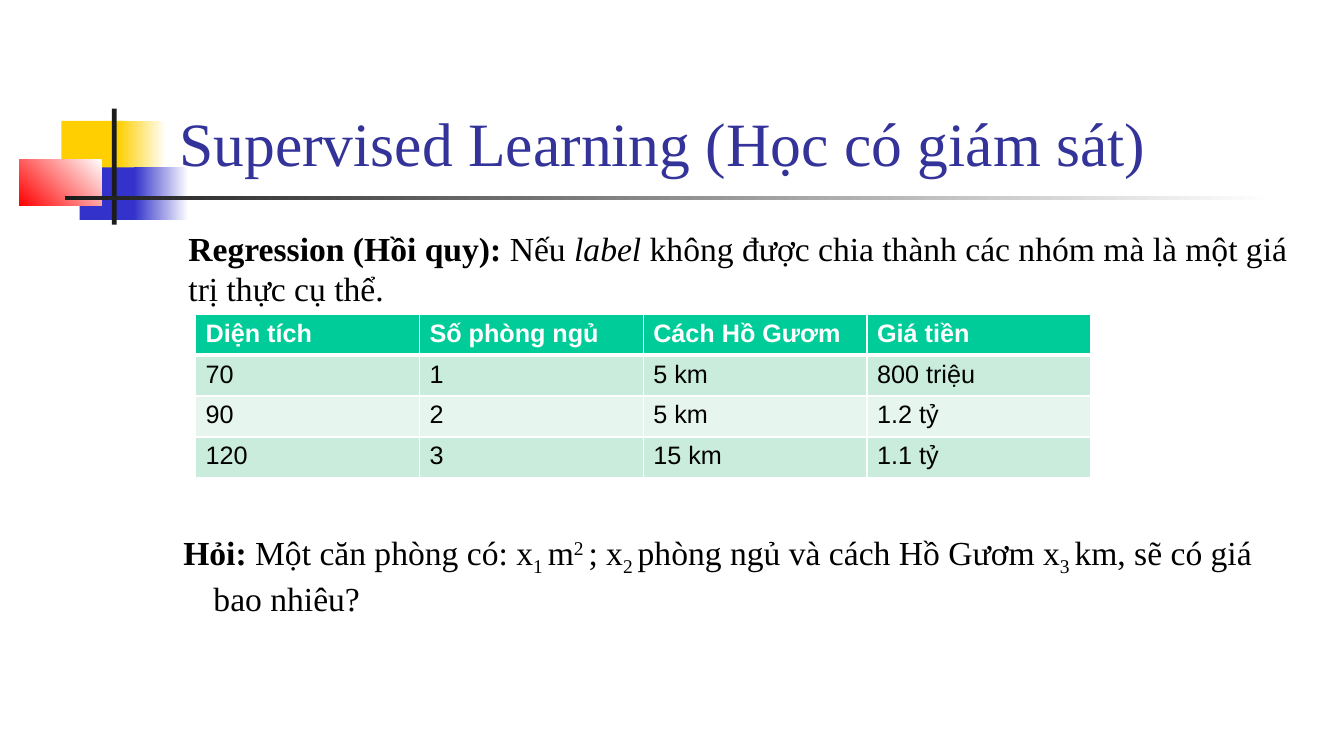
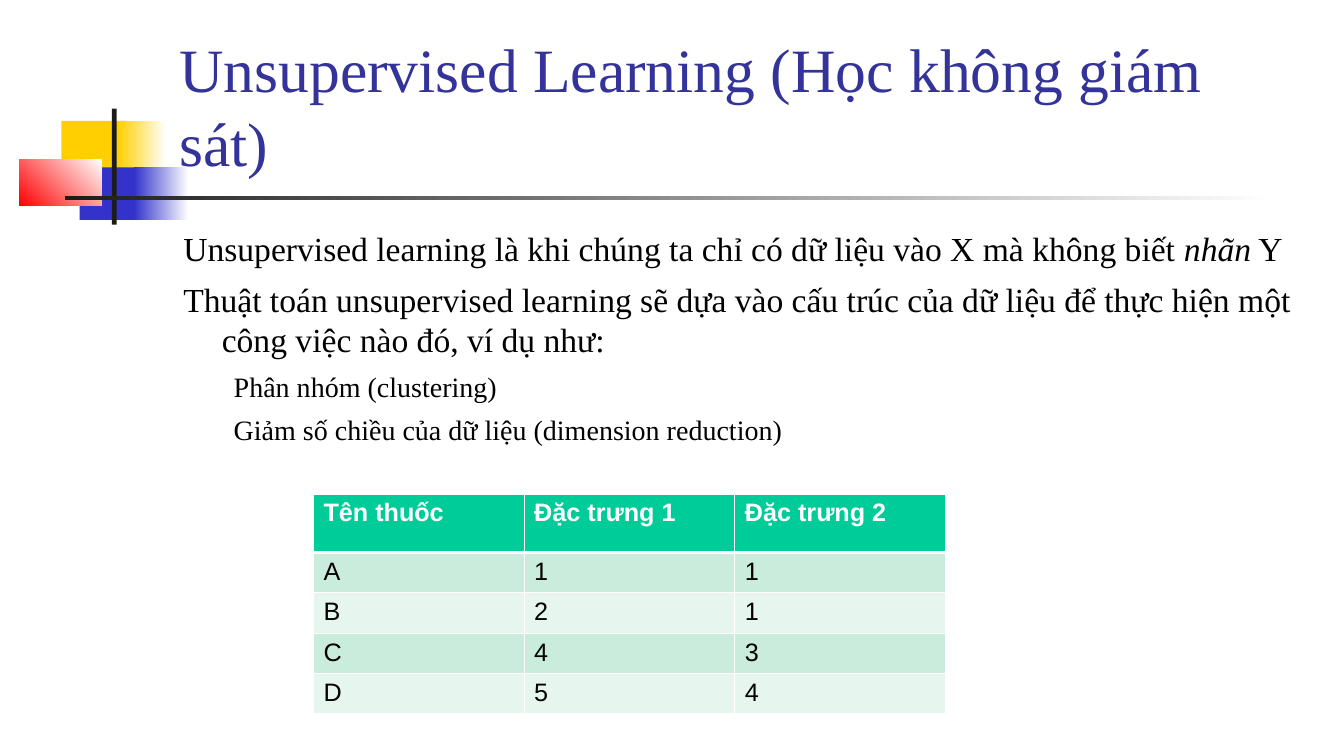
from dataclasses import dataclass

from lxml.etree import SubElement
from pptx import Presentation
from pptx.dml.color import RGBColor
from pptx.enum.shapes import MSO_SHAPE
from pptx.enum.text import MSO_ANCHOR
from pptx.oxml.ns import qn
from pptx.util import Cm, Pt


@dataclass(frozen=True)
class Theme:
    serif: str = "Times New Roman"
    sans: str = "Arial"
    title: int = 44
    body: int = 24
    minor: int = 20
    cell: int = 18
    navy: str = "333399"
    black: str = "000000"
    white: str = "FFFFFF"
    gold: str = "FFCF01"
    blue: str = "3333CC"
    red: str = "FF0000"
    ink: str = "1C1C1C"
    green: str = "00CC99"
    bands: tuple = ("CAECDD", "E6F6EF")


@dataclass(frozen=True)
class Para:
    runs: tuple
    left: float = 0
    first: float = 0
    before: int = 0
    size: int = 0


THEME = Theme()
SIZE = (33.87, 19.05)
MARK = (0.48, 2.74)
TITLE = (4.27, 0.58, 28.85, 4.06)
BODY = (4.37, 5.61, 28.78, 6.5)
BASE = {"sub": "-25000", "sup": "30000"}


def tint(code):
    return RGBColor.from_string(code)


def write(frame, paras, font=THEME.serif, size=THEME.body, color=THEME.black,
          bold=False, anchor=MSO_ANCHOR.TOP):
    frame.word_wrap = True
    frame.vertical_anchor = anchor
    for index, para in enumerate(paras):
        line = frame.add_paragraph() if index else frame.paragraphs[0]
        line.space_before = Pt(para.before)
        props = line._p.get_or_add_pPr()
        props.set("marL", str(Cm(para.left)))
        props.set("indent", str(Cm(para.first)))
        for text, style in para.runs:
            run = line.add_run()
            run.text = text
            run.font.name = font
            run.font.size = Pt(para.size or size)
            run.font.color.rgb = tint(color)
            run.font.bold = bold or style == "bold"
            run.font.italic = style == "italic"
            if style in BASE:
                run._r.get_or_add_rPr().set("baseline", BASE[style])


def plain(text, **form):
    return Para(((text, ""),), **form)


def label(slide, box, paras, **form):
    write(slide.shapes.add_textbox(*map(Cm, box)).text_frame, paras, **form)


def block(slide, box, color, angle=None):
    shape = slide.shapes.add_shape(MSO_SHAPE.RECTANGLE, *map(Cm, box))
    shape.shadow.inherit = False
    shape.line.fill.background()
    if angle is None:
        shape.fill.solid()
        shape.fill.fore_color.rgb = tint(color)
    else:
        shape.fill.gradient()
        shape.fill.gradient_angle = angle
        for stop, code in zip(shape.fill.gradient_stops, (THEME.white, color)):
            stop.color.rgb = tint(code)


def emblem(slide, left, top):
    parts = (
        (1.07, 0.31, 1.63, 1.32, THEME.gold, None),
        (2.49, 0.31, 1.22, 1.32, THEME.gold, 180),
        (1.53, 1.48, 1.57, 1.32, THEME.blue, None),
        (2.9, 1.48, 1.37, 1.32, THEME.blue, 180),
        (0, 1.27, 2.08, 1.17, THEME.red, 225),
        (2.34, 0, 0.12, 2.92, THEME.ink, None),
        (1.17, 2.21, 30.48, 0.09, THEME.ink, 180),
    )
    for x, y, width, height, color, angle in parts:
        block(slide, (left + x, top + y, width, height), color, angle)


def border(cell, widths):
    props = cell._tc.get_or_add_tcPr()
    for side, width in zip("LRTB", widths):
        line = SubElement(props, qn(f"a:ln{side}"), w=str(Pt(width)))
        fill = SubElement(line, qn("a:solidFill"))
        SubElement(fill, qn("a:srgbClr"), val=THEME.white)


def grid(slide, left, top, width, head, step, rows):
    count = len(rows[0])
    heights = [head] + [step] * (len(rows) - 1)
    box = (left, top, width * count, sum(heights))
    table = slide.shapes.add_table(len(rows), count, *map(Cm, box)).table
    for column in table.columns:
        column.width = Cm(width)
    for r, (values, height) in enumerate(zip(rows, heights)):
        table.rows[r].height = Cm(height)
        top_row = r == 0
        back = THEME.green if top_row else THEME.bands[(r - 1) % 2]
        for c, value in enumerate(values):
            cell = table.cell(r, c)
            border(cell, (1, 1, 3 if r == 1 else 1, 3 if top_row else 1))
            cell.fill.solid()
            cell.fill.fore_color.rgb = tint(back)
            write(cell.text_frame, [plain(value)], font=THEME.sans,
                  size=THEME.cell, bold=top_row,
                  color=THEME.white if top_row else THEME.black)


def start(deck, title):
    slide = deck.slides.add_slide(deck.slide_layouts[6])
    emblem(slide, *MARK)
    label(slide, TITLE, [plain(title)], size=THEME.title, color=THEME.navy,
          anchor=MSO_ANCHOR.BOTTOM)
    return slide


def guided(deck):
    slide = start(deck, "Supervised Learning (Học có giám sát)")
    left, top, width, _ = BODY
    label(slide, (left, top, width, 2.3), [Para((
        ("Regression (Hồi quy): ", "bold"),
        ("Nếu ", ""),
        ("label", "italic"),
        (" không được chia thành các nhóm mà là một giá trị thực cụ thể.", ""),
    ), left=0.13)])
    grid(slide, left + 0.56, top + 2.31, 5.64, 1.03, 1.03, (
        ("Diện tích", "Số phòng ngủ", "Cách Hồ Gươm", "Giá tiền"),
        ("70", "1", "5 km", "800 triệu"),
        ("90", "2", "5 km", "1.2 tỷ"),
        ("120", "3", "15 km", "1.1 tỷ"),
    ))
    label(slide, (left, top + 7.67, width, 2.5), [Para((
        ("Hỏi:", "bold"),
        (" Một căn phòng có: x", ""),
        ("1 ", "sub"),
        ("m", ""),
        ("2 ", "sup"),
        ("; x", ""),
        ("2 ", "sub"),
        ("phòng ngủ và cách Hồ Gươm x", ""),
        ("3 ", "sub"),
        ("km, sẽ có giá bao nhiêu?", ""),
    ), left=0.76, first=-0.76)])


def free(deck):
    slide = start(deck, "Unsupervised Learning (Học không giám sát)")
    left, top, _, _ = BODY
    hang = {"left": 0.97, "first": -0.97}
    minor = {"left": 2.06, "first": -0.79, "before": 7, "size": THEME.minor}
    label(slide, BODY, [
        Para((
            ("Unsupervised learning là khi chúng ta chỉ có dữ liệu vào X "
             "mà không biết ", ""),
            ("nhãn", "italic"),
            (" Y", ""),
        ), **hang),
        plain("Thuật toán unsupervised learning sẽ dựa vào cấu trúc của dữ liệu "
              "để thực hiện một công việc nào đó, ví dụ như:", before=8, **hang),
        plain("Phân nhóm (clustering)", **minor),
        plain("Giảm số chiều của dữ liệu (dimension reduction)", **minor),
    ])
    grid(slide, left + 3.53, top + 6.84, 5.31, 1.47, 0.97, (
        ("Tên thuốc", "Đặc trưng 1", "Đặc trưng 2"),
        ("A", "1", "1"),
        ("B", "2", "1"),
        ("C", "4", "3"),
        ("D", "5", "4"),
    ))


def main():
    deck = Presentation()
    deck.slide_width, deck.slide_height = map(Cm, SIZE)
    guided(deck)
    free(deck)
    deck.save("out.pptx")


if __name__ == "__main__":
    main()
